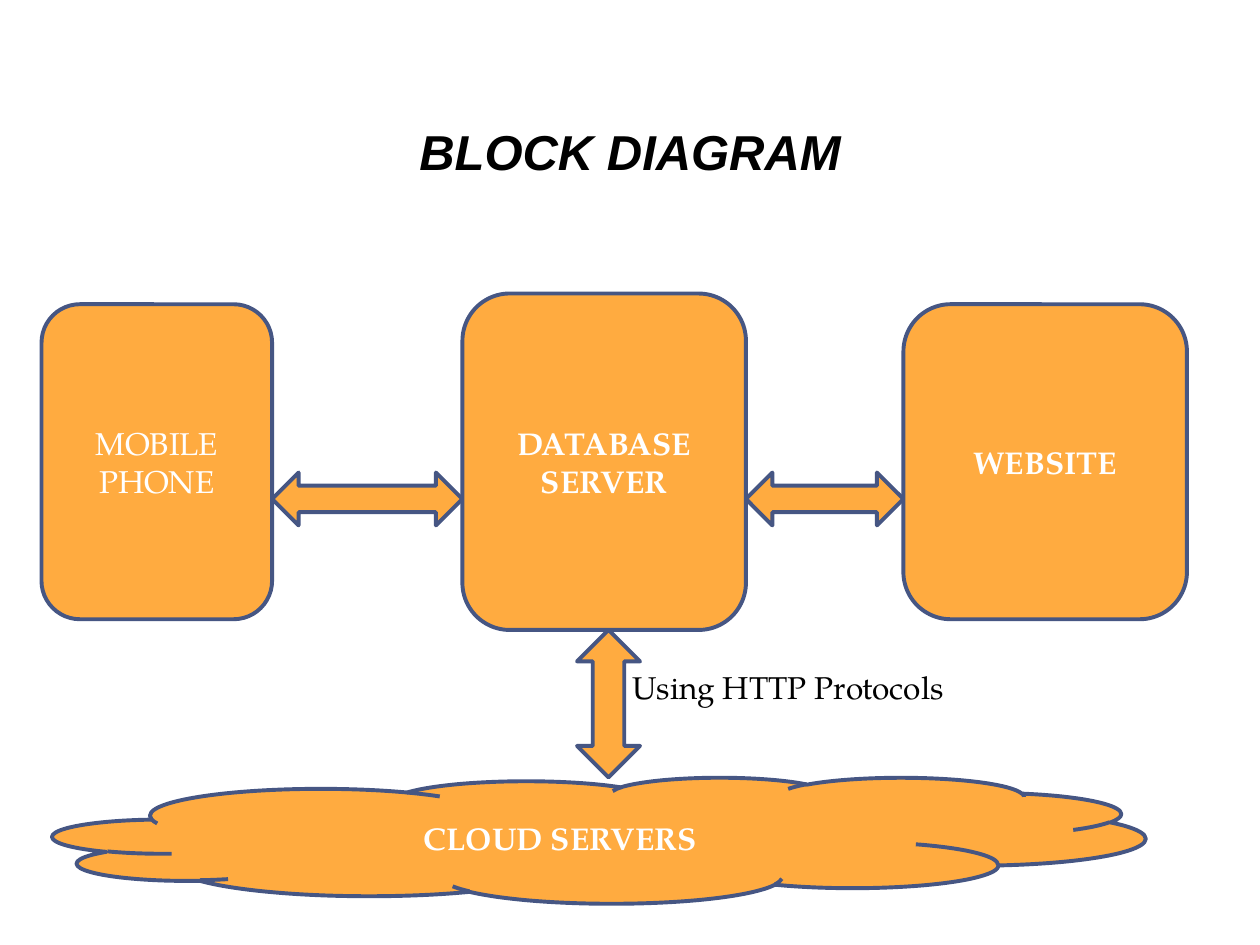
import pptx
import pptx.util
import pptx.dml.color
import pptx.enum.shapes
import pptx.enum.text

Inches = pptx.util.Inches
Pt = pptx.util.Pt
SHAPE = pptx.enum.shapes.MSO_SHAPE
ALIGN = pptx.enum.text.PP_ALIGN
ANCHOR = pptx.enum.text.MSO_ANCHOR

COLORS = {"block": "FFAB40", "outline": "465683", "light": "FFFFFF", "dark": "000000"}
BODY_FONT = "TeX Gyre Pagella"
ARROW_HEIGHT = 0.42
ARROW_WIDTH = 0.5


def rgb(name):
    return pptx.dml.color.RGBColor.from_string(COLORS[name])


def write(frame, text, color, size=18, face=BODY_FONT, bold=False, italic=False,
          align=ALIGN.CENTER, anchor=ANCHOR.MIDDLE):
    frame.word_wrap = True
    frame.vertical_anchor = anchor
    paragraph = frame.paragraphs[0]
    paragraph.text = text
    paragraph.alignment = align
    font = paragraph.font
    font.name, font.size = face, Pt(size)
    font.bold, font.italic = bold, italic
    font.color.rgb = rgb(color)
    return paragraph


def add_block(slide, kind, box, text="", bold=True):
    block = slide.shapes.add_shape(kind, *map(Inches, box))
    block.shadow.inherit = False
    block.fill.solid()
    block.fill.fore_color.rgb = rgb("block")
    block.line.color.rgb = rgb("outline")
    block.line.width = Pt(2.25)
    if text:
        write(block.text_frame, text, "light", bold=bold)


def add_title(slide, box):
    title = slide.shapes.add_textbox(*map(Inches, box))
    paragraph = write(title.text_frame, "BLOCK DIAGRAM", "dark", size=28, face="Arial",
                      bold=True, italic=True, anchor=ANCHOR.BOTTOM)
    paragraph.line_spacing = 1.07


def add_devices(slide, box):
    left, top, width, height = box
    side_height = 2.5
    side_top = top + (height - side_height) / 2
    phone = (left, side_top, 1.83, side_height)
    database = (left + 3.34, top, 2.25, height)
    website = (left + width - 2.25, side_top, 2.25, side_height)

    add_block(slide, SHAPE.ROUNDED_RECTANGLE, phone, "MOBILE PHONE", bold=False)
    add_block(slide, SHAPE.ROUNDED_RECTANGLE, database, "DATABASE SERVER")
    add_block(slide, SHAPE.ROUNDED_RECTANGLE, website, "WEBSITE")

    for source, target in ((phone, database), (database, website)):
        start = source[0] + source[2]
        add_block(slide, SHAPE.LEFT_RIGHT_ARROW,
                  (start, top + 1.42, target[0] - start, ARROW_HEIGHT))


def add_cloud_link(slide, box):
    left, top, width, height = box
    cloud_height = 1
    link_height = height - cloud_height
    link_left = left + 4.16
    add_block(slide, SHAPE.CLOUD, (left, top + link_height, width, cloud_height),
              "CLOUD SERVERS")
    add_block(slide, SHAPE.UP_DOWN_ARROW, (link_left, top, ARROW_WIDTH, link_height))
    protocol = slide.shapes.add_textbox(
        *map(Inches, (link_left + 0.34, top + 0.25, 2.7, 0.4)))
    write(protocol.text_frame, "Using HTTP Protocols", "dark",
          align=ALIGN.LEFT, anchor=ANCHOR.TOP)


def main():
    presentation = pptx.Presentation()
    presentation.slide_width = Inches(10)
    presentation.slide_height = Inches(7.5)
    slide = presentation.slides.add_slide(presentation.slide_layouts[6])
    add_title(slide, (0.34, 0.65, 9.32, 0.83))
    add_devices(slide, (0.33, 2.33, 9.09, 2.67))
    add_cloud_link(slide, (0.42, 5, 8.67, 2.17))
    presentation.save("out.pptx")


if __name__ == "__main__":
    main()
